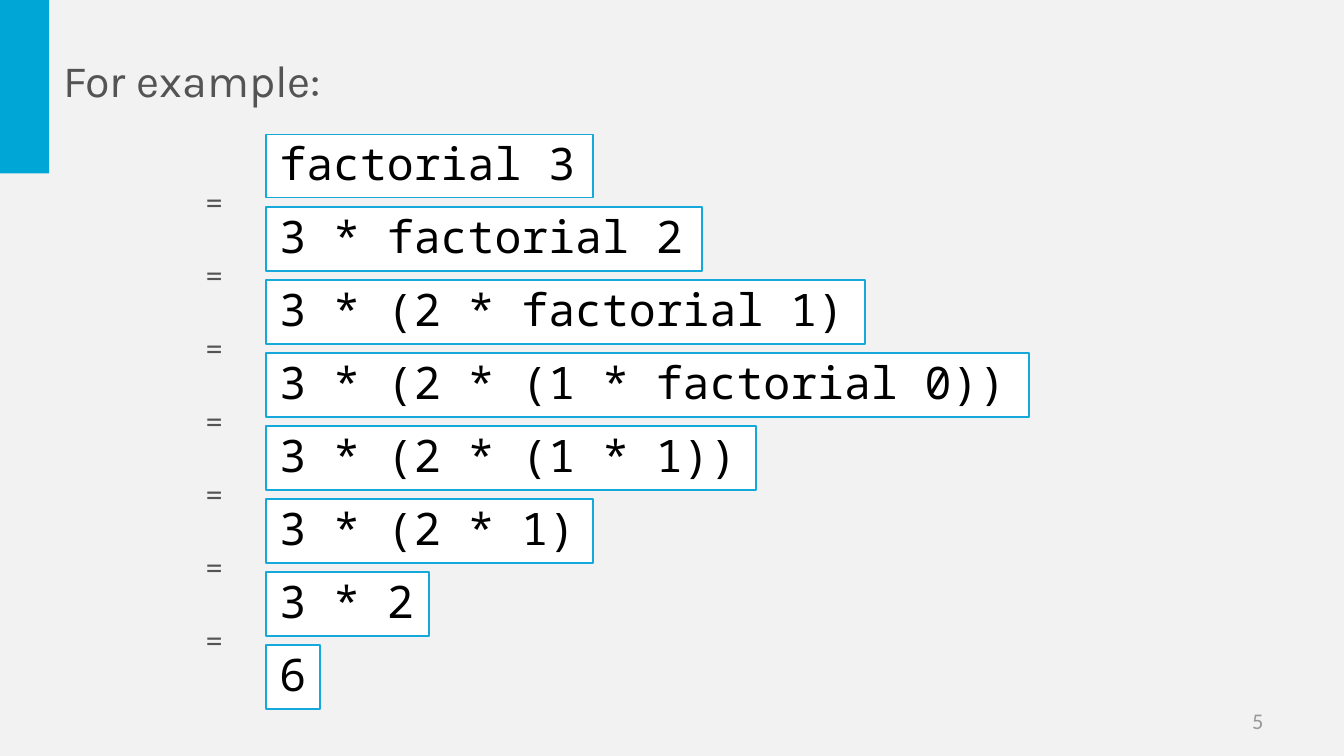
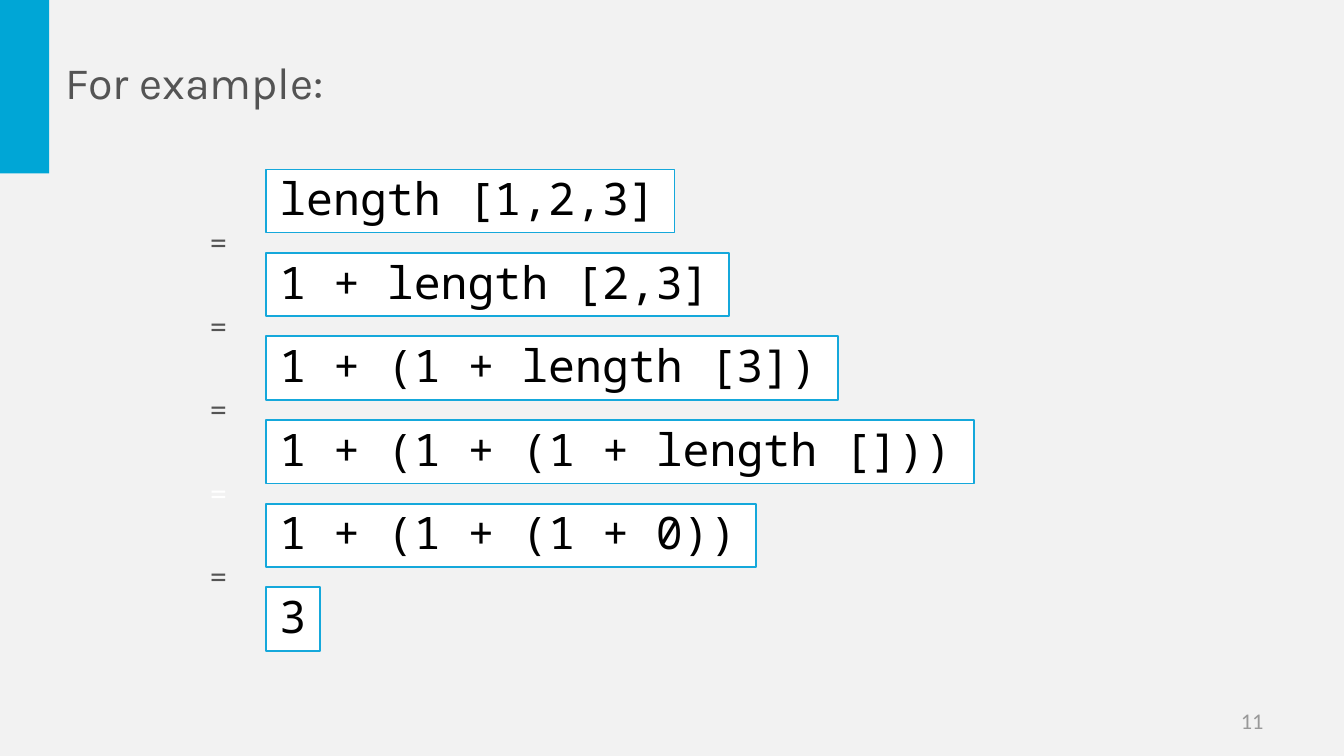
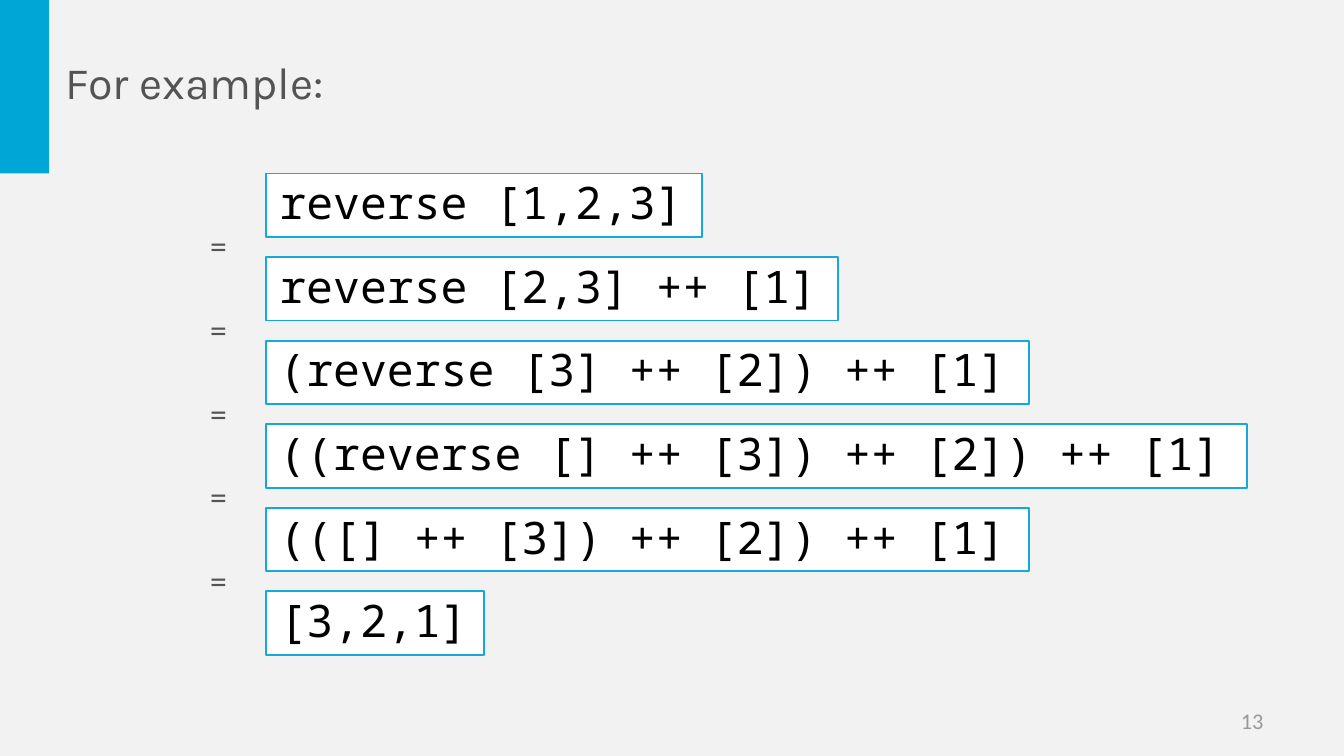
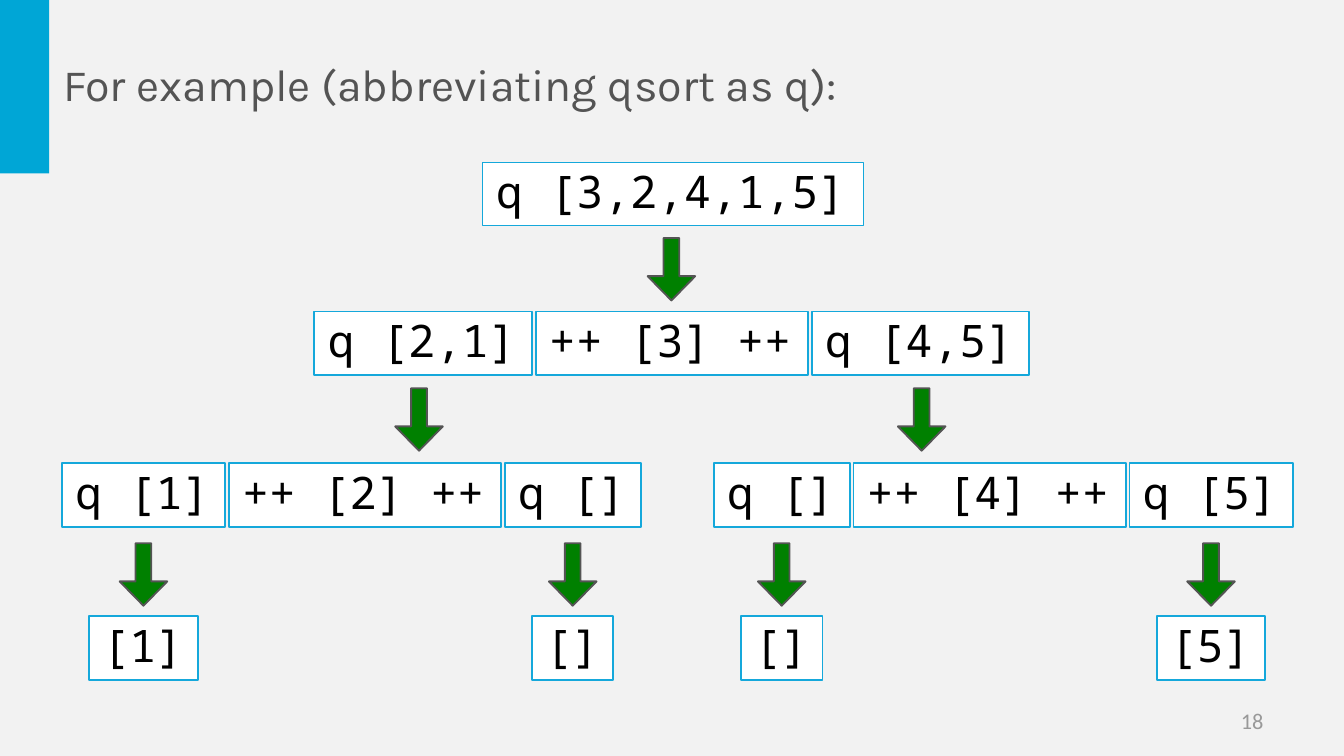
"""Build four slides that evaluate recursive functions step by step."""
from dataclasses import dataclass
from typing import Any, Optional

import pptx
import pptx.dml.color
import pptx.enum.shapes
import pptx.enum.text
import pptx.presentation
import pptx.shapes.autoshape
import pptx.slide
import pptx.util

Cm = pptx.util.Cm
Pt = pptx.util.Pt
RGBColor = pptx.dml.color.RGBColor
SHAPE = pptx.enum.shapes.MSO_SHAPE
ALIGN = pptx.enum.text.PP_ALIGN
AUTO = pptx.enum.text.MSO_AUTO_SIZE
MIDDLE = pptx.enum.text.MSO_ANCHOR.MIDDLE

PAPER = RGBColor(0xF2, 0xF2, 0xF2)
BAND = RGBColor(0x00, 0xA6, 0xD6)
OUTLINE = RGBColor(0x15, 0xA8, 0xDB)
GREY = RGBColor(0x54, 0x54, 0x54)
PALE = RGBColor(0x99, 0x99, 0x99)
GREEN = RGBColor(0x00, 0x80, 0x00)
WHITE = RGBColor(0xFF, 0xFF, 0xFF)
BLACK = RGBColor(0x00, 0x00, 0x00)

TITLE_FONT, BODY_FONT, CODE_FONT = "Karla", "Calibri", "Noto Sans Mono"

# All lengths below are centimetres.
SLIDE_W, SLIDE_H = 25.4, 14.29
BOX_H, BOX_PAD, CHAR_W = 1.2, 0.51, 0.515
MARK_W, MARK_H = 0.84, 1.02
ARROW_W, ARROW_H = 0.9, 1.18
STEP_LEFT = 5.03
ROW_GAP = 0.07


@dataclass
class Heading:
    """Title and page number of a slide."""
    text: str
    left: float
    top: float
    page: int
    width: float = 5.44
    wrap: bool = False


@dataclass
class Derivation:
    """A column of expressions joined by equals signs."""
    heading: Heading
    top: float
    pitch: float
    mark_left: float
    steps: list[str]
    white_mark: Optional[int] = None


@dataclass
class TreeRow:
    """Adjoining code boxes of the sorting tree."""
    left: float
    top: float
    cells: list[str]


DERIVATIONS = [
    Derivation(Heading("For example:", 0.94, 0.86, 5), 2.54, 1.38, 3.63, [
        "factorial 3",
        "3 * factorial 2",
        "3 * (2 * factorial 1)",
        "3 * (2 * (1 * factorial 0))",
        "3 * (2 * (1 * 1))",
        "3 * (2 * 1)",
        "3 * 2",
        "6",
    ]),
    Derivation(Heading("For example:", 0.99, 0.91, 11), 3.2, 1.58, 3.71, [
        "length [1,2,3]",
        "1 + length [2,3]",
        "1 + (1 + length [3])",
        "1 + (1 + (1 + length []))",
        "1 + (1 + (1 + 0))",
        "3",
    ], white_mark=4),
    Derivation(Heading("For example:", 0.99, 0.91, 13), 3.28, 1.58, 3.71, [
        "reverse [1,2,3]",
        "reverse [2,3] ++ [1]",
        "(reverse [3] ++ [2]) ++ [1]",
        "((reverse [] ++ [3]) ++ [2]) ++ [1]",
        "(([] ++ [3]) ++ [2]) ++ [1]",
        "[3,2,1]",
    ]),
]

TREE_HEADING = Heading("For example (abbreviating qsort as q):",
                       0.94, 0.94, 18, width=23.09, wrap=True)
ROOT = TreeRow(9.12, 3.07, ["q [3,2,4,1,5]"])
BRANCHES = TreeRow(5.94, 5.89, ["q [2,1]", "++ [3] ++", "q [4,5]"])
SUBTREES = [
    TreeRow(1.17, 8.76, ["q [1]", "++ [2] ++", "q []"]),
    TreeRow(13.49, 8.76, ["q []", "++ [4] ++", "q [5]"]),
]
UPPER_ARROWS = [(12.69, 4.5), (7.92, 7.34), (17.42, 7.34)]
LEAF_ARROW_TOP, LEAF_TOP = 10.27, 11.65


def write(sp: Any, text: str, *, font: str, size: float, color: RGBColor,
          align: Any = ALIGN.LEFT, wrap: bool = False, grow: bool = True,
          spacing: Optional[float] = None) -> None:
    """Put one formatted paragraph into a shape."""
    tf = sp.text_frame
    tf.word_wrap = wrap
    tf.auto_size = AUTO.SHAPE_TO_FIT_TEXT if grow else AUTO.NONE
    tf.vertical_anchor = MIDDLE
    p = tf.paragraphs[0]
    p.alignment = align
    if spacing:
        p.line_spacing = spacing
    r = p.add_run()
    r.text = text
    r.font.name, r.font.size = font, Pt(size)
    r.font.color.rgb = color


def add_block(s: pptx.slide.Slide, kind: Any, left: float, top: float,
              width: float, height: float, fill: RGBColor,
              line: Optional[RGBColor] = None,
              weight: float = 1) -> pptx.shapes.autoshape.Shape:
    """Draw a flat preset shape."""
    sp = s.shapes.add_shape(kind, Cm(left), Cm(top), Cm(width), Cm(height))
    sp.shadow.inherit = False
    sp.fill.solid()
    sp.fill.fore_color.rgb = fill
    if line is None:
        sp.line.fill.background()
    else:
        sp.line.color.rgb = line
        sp.line.width = Pt(weight)
    return sp


def box_width(code: str) -> float:
    """Width of a code box, from its number of characters."""
    return BOX_PAD + CHAR_W * len(code)


def add_code(s: pptx.slide.Slide, code: str, left: float, top: float,
             weight: float = 1) -> None:
    """Draw a white box that holds one line of code."""
    sp = add_block(s, SHAPE.RECTANGLE, left, top, box_width(code), BOX_H,
                   WHITE, OUTLINE, weight)
    write(sp, code, font=CODE_FONT, size=24, color=BLACK, spacing=0.9)


def add_arrow(s: pptx.slide.Slide, center: float, top: float) -> None:
    """Draw a green arrow that points down."""
    sp = add_block(s, SHAPE.DOWN_ARROW, center - ARROW_W / 2, top,
                   ARROW_W, ARROW_H, GREEN, GREY)
    sp.adjustments[0], sp.adjustments[1] = 0.33, 0.51


def add_slide(prs: pptx.presentation.Presentation,
              heading: Heading) -> pptx.slide.Slide:
    """Add a slide with its title and page number."""
    s = prs.slides.add_slide(prs.slide_layouts[5])
    title = s.shapes.title
    title.left, title.top = Cm(heading.left), Cm(heading.top)
    title.width, title.height = Cm(heading.width), Cm(1.28)
    write(title, heading.text, font=TITLE_FONT, size=24, color=GREY,
          wrap=heading.wrap)
    number = s.shapes.add_textbox(Cm(18.21), Cm(13.24), Cm(5.92), Cm(0.76))
    write(number, str(heading.page), font=BODY_FONT, size=12, color=PALE,
          align=ALIGN.RIGHT, wrap=True, grow=False)
    return s


def add_derivation(prs: pptx.presentation.Presentation,
                   d: Derivation) -> None:
    """Add a slide that rewrites an expression step by step."""
    s = add_slide(prs, d.heading)
    gap = d.pitch - BOX_H
    for i, code in enumerate(d.steps):
        top = d.top + i * d.pitch
        add_code(s, code, STEP_LEFT, top, 1 if i else 0.75)
        if i:
            mark_top = top - (gap + MARK_H) / 2 - 0.03
            mark = s.shapes.add_textbox(Cm(d.mark_left), Cm(mark_top),
                                        Cm(MARK_W), Cm(MARK_H))
            write(mark, "=", font=BODY_FONT, size=18, align=ALIGN.CENTER,
                  color=WHITE if i == d.white_mark else GREY)


def add_row(s: pptx.slide.Slide, row: TreeRow,
            weight: float = 1) -> list[float]:
    """Draw a row of code boxes and return their centres."""
    left, centers = row.left, []
    for code in row.cells:
        width = box_width(code)
        add_code(s, code, left, row.top, weight)
        centers.append(left + width / 2)
        left += width + ROW_GAP
    return centers


def add_tree(prs: pptx.presentation.Presentation) -> None:
    """Add the slide with the sorting tree."""
    s = add_slide(prs, TREE_HEADING)
    add_row(s, ROOT, 0.75)
    add_row(s, BRANCHES)
    for center, top in UPPER_ARROWS:
        add_arrow(s, center, top)
    for row in SUBTREES:
        for code, center in zip(row.cells, add_row(s, row)):
            if code.startswith("q "):
                leaf = code.removeprefix("q ")
                add_code(s, leaf, center - box_width(leaf) / 2, LEAF_TOP)
                add_arrow(s, center, LEAF_ARROW_TOP)


def style_layout(prs: pptx.presentation.Presentation) -> None:
    """Give the shared layout its background and corner band."""
    layout = prs.slide_layouts[5]
    layout.background.fill.solid()
    layout.background.fill.fore_color.rgb = PAPER
    band = add_block(prs.slides[0], SHAPE.RECTANGLE, 0, 0, 0.93, 3.28, BAND)
    band.element.nvSpPr.cNvPr.set("id", "99")
    layout.shapes.element.insert(2, band.element)


def main() -> None:
    """Build and save the presentation."""
    prs = pptx.Presentation()
    prs.slide_width, prs.slide_height = Cm(SLIDE_W), Cm(SLIDE_H)
    for d in DERIVATIONS:
        add_derivation(prs, d)
    add_tree(prs)
    style_layout(prs)
    prs.save("out.pptx")


main()
